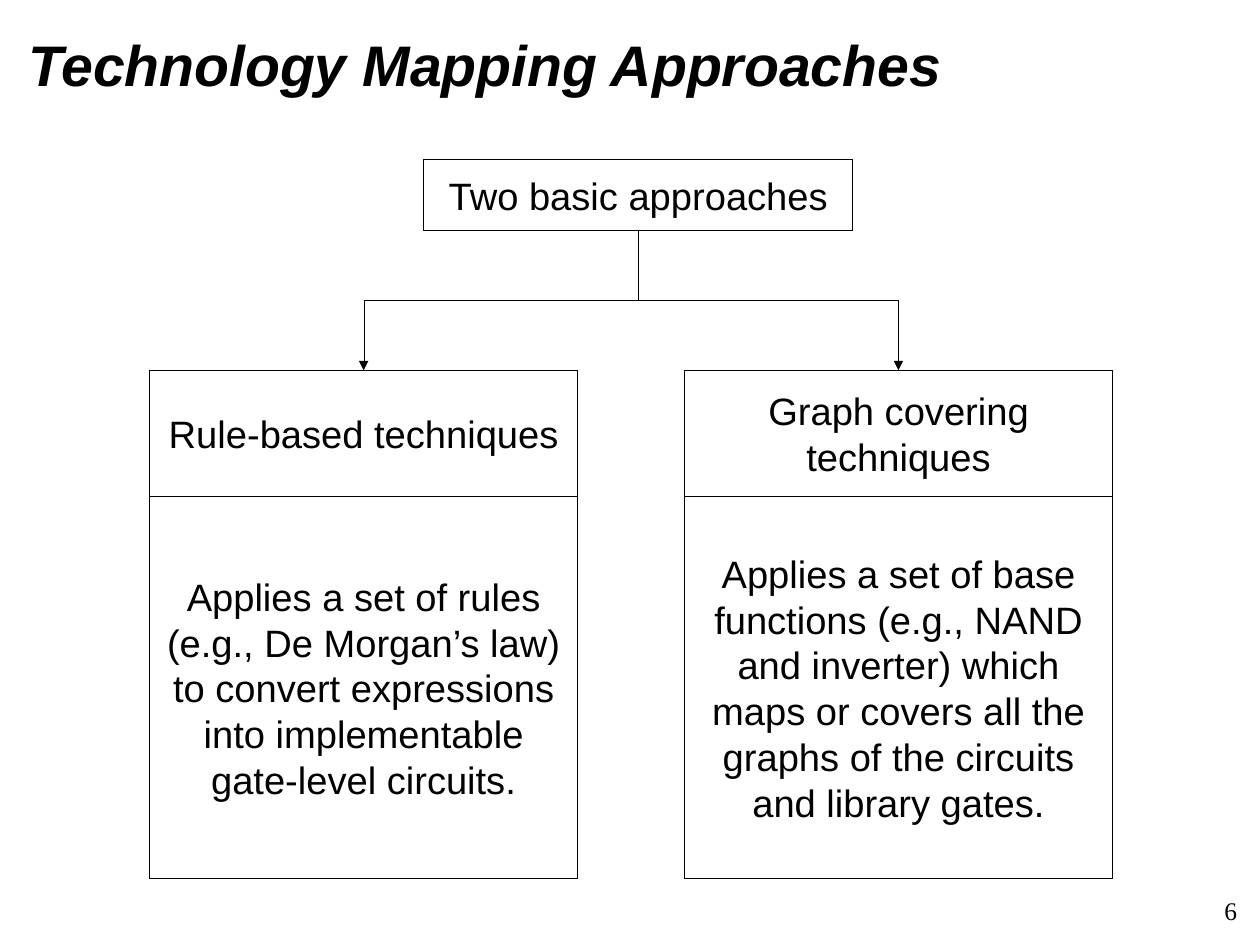
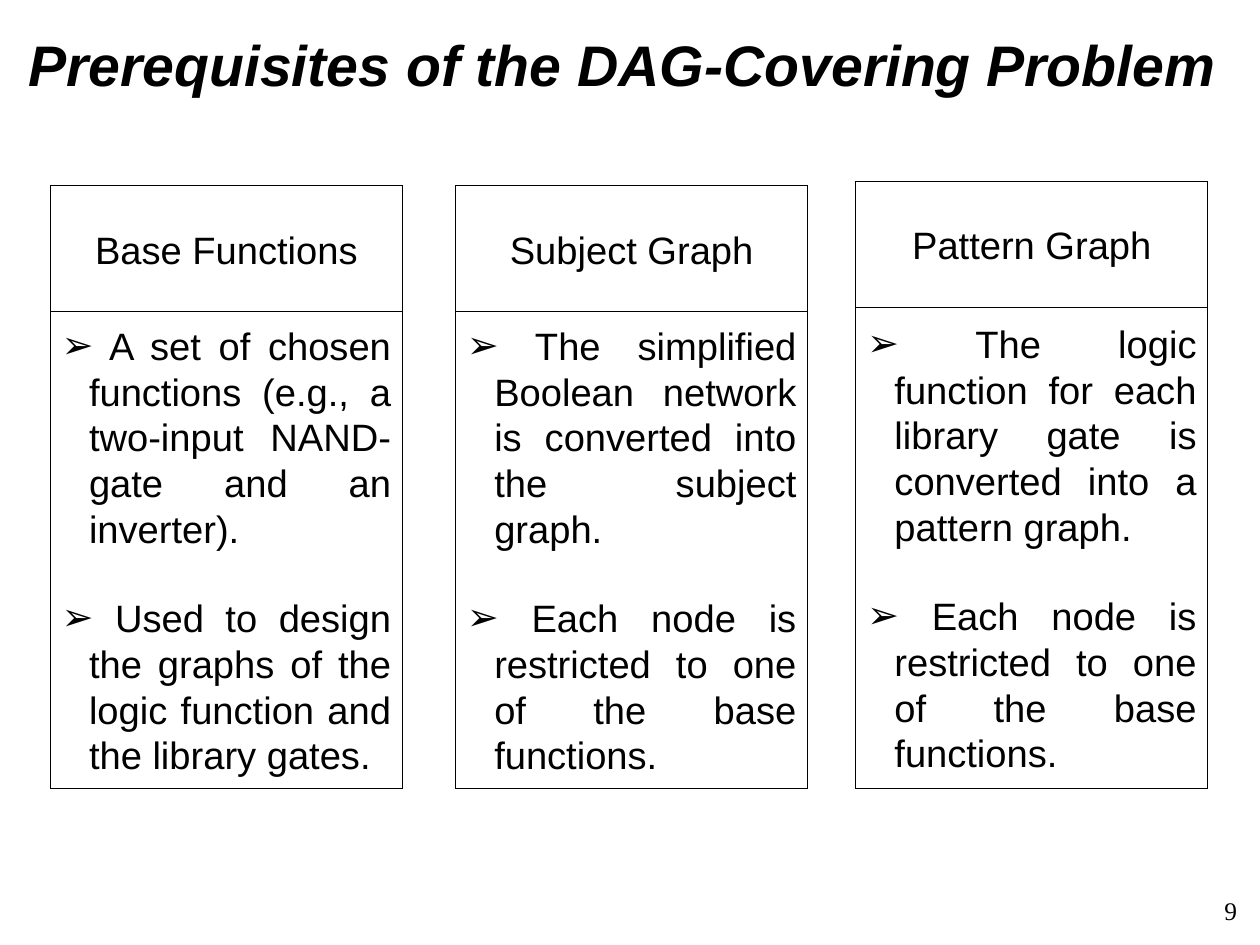
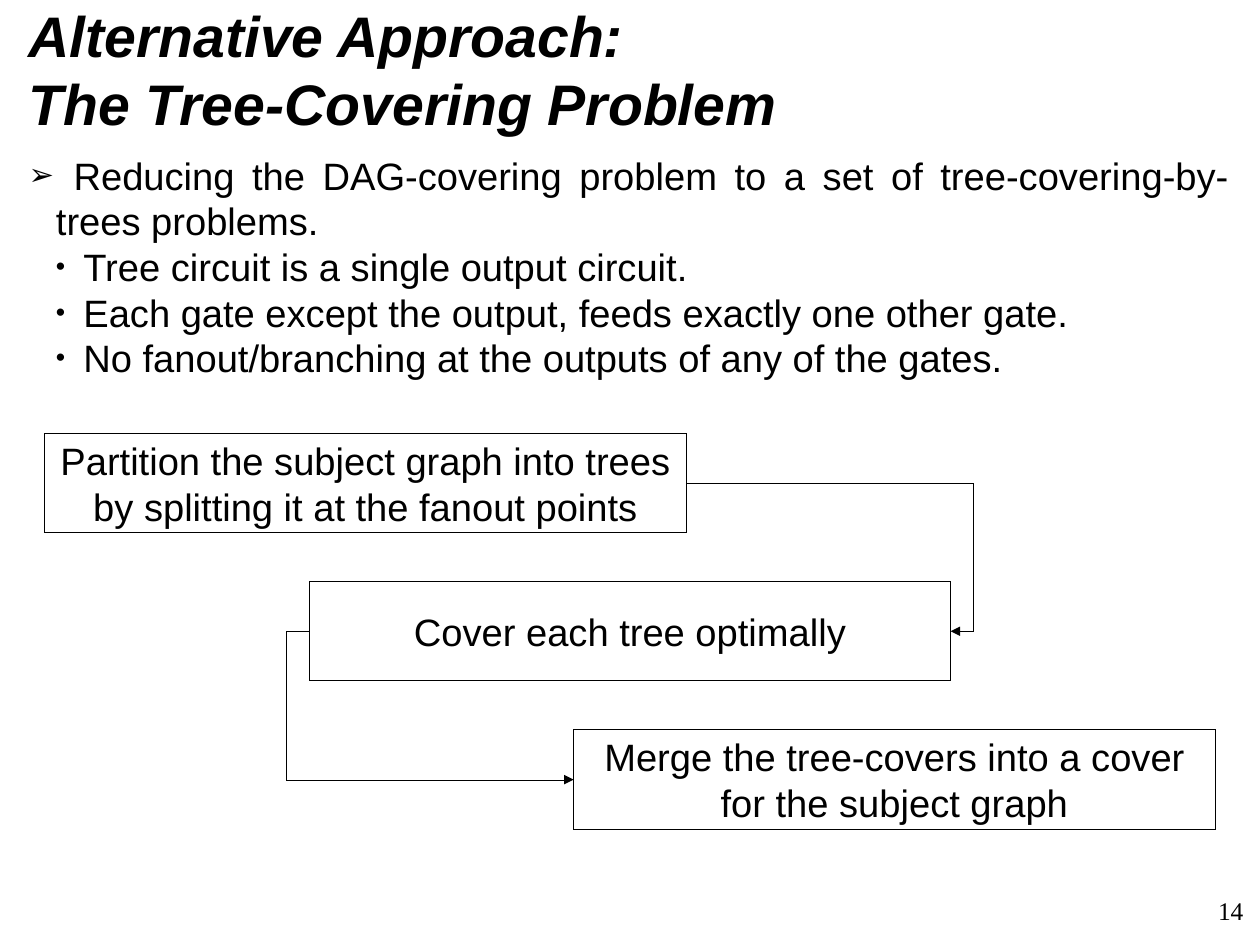
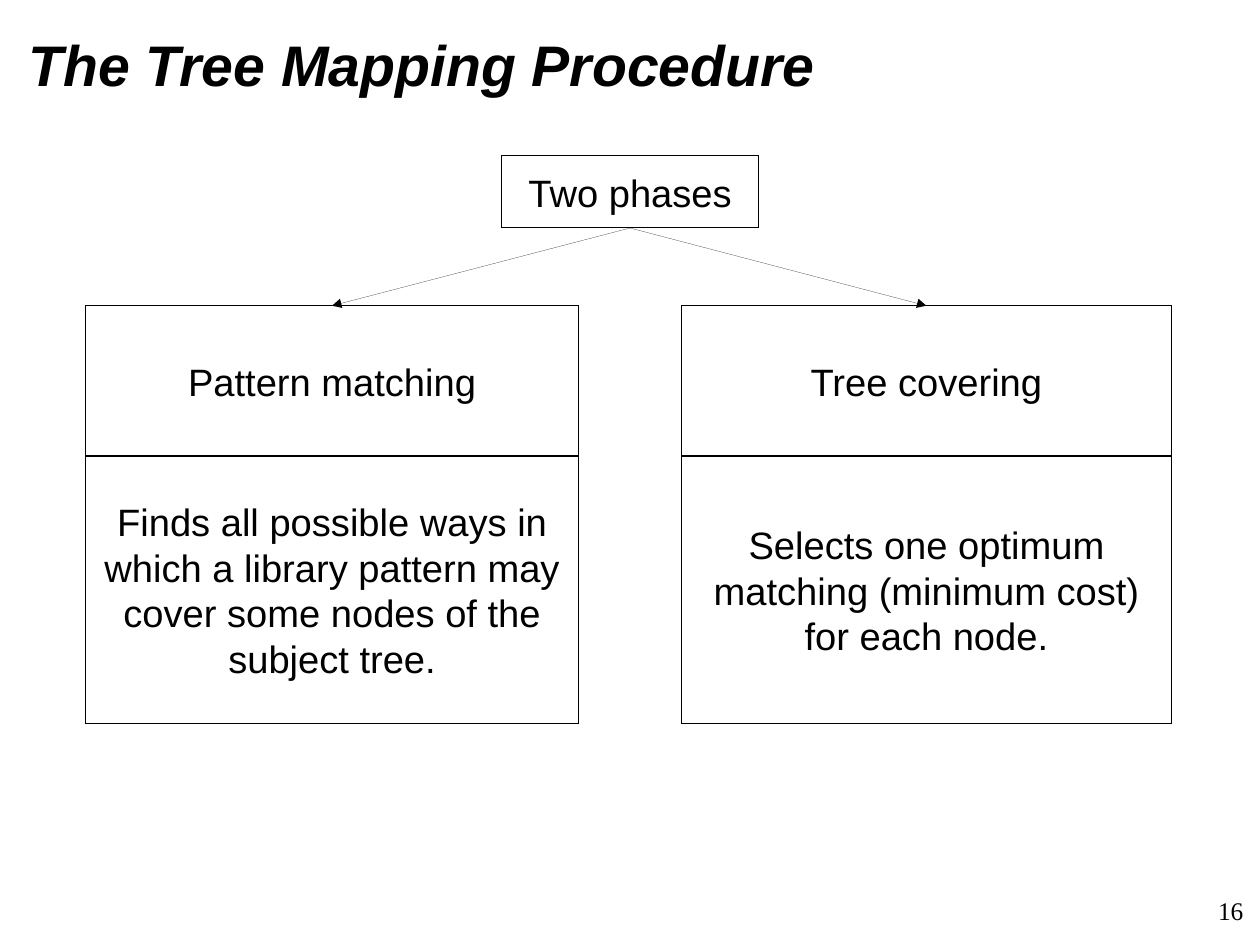
from pptx import Presentation
from pptx.dml.color import RGBColor
from pptx.enum.shapes import MSO_CONNECTOR, MSO_SHAPE
from pptx.enum.text import MSO_ANCHOR, PP_ALIGN
from pptx.oxml.ns import qn
from pptx.oxml.xmlchemy import OxmlElement
from pptx.util import Cm, Inches, Pt

RECTANGLE = MSO_SHAPE.RECTANGLE
STRAIGHT, ELBOW = MSO_CONNECTOR.STRAIGHT, MSO_CONNECTOR.ELBOW
LEFT, CENTER, JUSTIFY = PP_ALIGN.LEFT, PP_ALIGN.CENTER, PP_ALIGN.JUSTIFY
TOP_ANCHOR, MIDDLE = MSO_ANCHOR.TOP, MSO_ANCHOR.MIDDLE
TOP_SIDE, LEFT_SIDE, BOTTOM_SIDE, RIGHT_SIDE = range(4)

BLACK, WHITE = "000000", "FFFFFF"
SANS, SERIF = "Arial", "Times New Roman"
TITLE_SIZE, BODY_SIZE, NUMBER_SIZE = 36, 24, 16
SLIDE_WIDTH, SLIDE_HEIGHT = Cm(28), Cm(21)
INDENT = 2.4
BLANK_LINE = 27.6
ARROW, DOT = "➢", "•"


def grid(count):
    """Return the length of a number of grid cells, each a tenth of an inch."""
    return Inches(count / 10)


def color(value):
    """Return the colour of a hex string."""
    return RGBColor.from_string(value)


def add_child(parent, tag, **attributes):
    """Append an XML child with the given attributes and return it."""
    child = OxmlElement(tag)
    for name, value in attributes.items():
        child.set(name, str(value))
    parent.append(child)
    return child


def set_bullet(paragraph, character, level=1, size=100):
    """Give a paragraph a hanging bullet."""
    properties = paragraph._p.get_or_add_pPr()
    properties.set("marL", str(grid(INDENT * level)))
    properties.set("indent", str(-grid(INDENT)))
    bullet_color = add_child(properties, "a:buClr")
    add_child(bullet_color, "a:srgbClr", val=BLACK)
    add_child(properties, "a:buSzPct", val=size * 1000)
    add_child(properties, "a:buFont", typeface=SANS)
    add_child(properties, "a:buChar", char=character)


def add_run(paragraph, text, size, font, bold, italic):
    """Add a formatted run to a paragraph."""
    run = paragraph.add_run()
    run.text = text
    run.font.name, run.font.size = font, Pt(size)
    run.font.bold, run.font.italic = bold, italic
    run.font.color.rgb = color(BLACK)


def write(shape, lines, size=BODY_SIZE, font=SANS, bold=False, italic=False,
          align=CENTER, anchor=MIDDLE, inset=1, wrap=True, space=0, bullets=()):
    """Fill a shape with one paragraph per line, broken at each newline."""
    frame = shape.text_frame
    frame.word_wrap = wrap
    frame.vertical_anchor = anchor
    frame.margin_left = frame.margin_right = grid(inset)
    frame.margin_top = frame.margin_bottom = grid(inset / 2)
    for index, line in enumerate(lines):
        paragraph = frame.add_paragraph() if index else frame.paragraphs[0]
        paragraph.alignment = align
        if index and space:
            paragraph.space_before = Pt(space)
        if bullets:
            set_bullet(paragraph, *bullets[index])
        for position, text in enumerate(line.split("\n")):
            if position:
                paragraph.add_line_break()
            add_run(paragraph, text, size, font, bold, italic)


def add_text(slide, column, row, width, height, lines, **text_format):
    """Add a text box."""
    box = slide.shapes.add_textbox(grid(column), grid(row), grid(width), grid(height))
    write(box, lines, **text_format)


def set_hairline(shape):
    """Draw the outline as the thinnest black line and return its XML."""
    shape.line.color.rgb = color(BLACK)
    line = shape._element.spPr.find(qn("a:ln"))
    line.set("w", "0")
    return line


def add_box(slide, column, row, width, height, *lines, **text_format):
    """Add a white outlined rectangle with text."""
    box = slide.shapes.add_shape(
        RECTANGLE, grid(column), grid(row), grid(width), grid(height))
    box.shadow.inherit = False
    box.fill.solid()
    box.fill.fore_color.rgb = color(WHITE)
    set_hairline(box)
    write(box, lines, **text_format)
    return box


def add_card(slide, column, row, width, head, body, heading, *lines, **text_format):
    """Add a heading box with a body box below it and return the heading box."""
    heading_box = add_box(slide, column, row, width, head, heading)
    add_box(slide, column, row + head, width, body, *lines, **text_format)
    return heading_box


def add_arrow(slide, source, source_side, target, target_side, kind=STRAIGHT):
    """Join two boxes with an arrow."""
    arrow = slide.shapes.add_connector(kind, 0, 0, 0, 0)
    arrow.begin_connect(source, source_side)
    arrow.end_connect(target, target_side)
    add_child(set_hairline(arrow), "a:tailEnd", type="triangle")
    add_child(arrow._element.spPr, "a:effectLst")
    return arrow


def set_bend(arrow, share):
    """Place the bend of an elbow arrow at a share of its width."""
    geometry = arrow._element.spPr.find(qn("a:prstGeom"))
    adjustments = geometry.find(qn("a:avLst"))
    if adjustments is None:
        adjustments = add_child(geometry, "a:avLst")
    add_child(adjustments, "a:gd", name="adj1", fmla=f"val {round(share * 100000)}")


def add_branch(slide, source, target):
    """Add an elbow arrow that leaves downwards and arrives from above."""
    arrow = add_arrow(slide, source, BOTTOM_SIDE, target, TOP_SIDE, ELBOW)
    rightward = arrow.end_x > arrow.begin_x
    center_x = (arrow.begin_x + arrow.end_x) // 2
    center_y = (arrow.begin_y + arrow.end_y) // 2
    across, down = arrow.width, arrow.height
    arrow.left, arrow.top = center_x - down // 2, center_y - across // 2
    arrow.width, arrow.height = down, across
    transform = arrow._element.spPr.find(qn("a:xfrm"))
    transform.set("rot", str((270 if rightward else 90) * 60000))
    transform.set("flipH", "1" if rightward else "0")
    set_bend(arrow, 0.5)


def add_slide(presentation, number, title, center=5.6, height=9.8):
    """Add a blank slide with its title and number."""
    slide = presentation.slides.add_slide(presentation.slide_layouts[6])
    add_text(slide, 2.5, center - height / 2, 105, height, [title],
             size=TITLE_SIZE, bold=True, italic=True, align=LEFT, inset=0)
    add_text(slide, 105.2, 76.65, 4.95, 6, [number],
             size=NUMBER_SIZE, font=SERIF, wrap=False)
    return slide


def build_approaches(presentation):
    """Build the slide on the two mapping approaches."""
    slide = add_slide(presentation, "6", "Technology Mapping Approaches")
    root = add_box(slide, 37.08, 14, 37.5, 6.15, "Two basic approaches")
    cards = [
        ("Rule-based techniques",
         "Applies a set of rules (e.g., De Morgan’s law) to convert expressions "
         "into implementable gate-level circuits."),
        ("Graph covering techniques",
         "Applies a set of base functions (e.g., NAND and inverter) which maps or "
         "covers all the graphs of the circuits and library gates."),
    ]
    for index, (heading, body) in enumerate(cards):
        card = add_card(slide, 13.06 + 46.8 * index, 32.4, 37.5, 11.05, 33.4,
                        heading, body)
        add_branch(slide, root, card)


def build_prerequisites(presentation):
    """Build the slide with three bulleted cards."""
    slide = add_slide(presentation, "9", "Prerequisites of the DAG-Covering Problem")
    node_rule = " Each node is restricted to one of the base functions."
    cards = [
        (4.4, 16.25, "Base Functions",
         " A set of chosen functions (e.g., a two-input NAND-gate and an inverter).",
         " Used to design the graphs of the logic function and the library gates."),
        (39.86, 16.25, "Subject Graph",
         " The simplified Boolean network is converted into the subject graph.",
         node_rule),
        (74.87, 15.88, "Pattern Graph",
         " The logic function for each library gate is converted into a pattern graph.",
         node_rule),
    ]
    head, bottom = 11.02, 68.95
    for column, row, heading, *lines in cards:
        add_card(slide, column, row, 30.8, head, bottom - row - head, heading, *lines,
                 align=JUSTIFY, space=BLANK_LINE, bullets=[(ARROW,)] * len(lines))


def build_tree_covering(presentation):
    """Build the slide with bullets and a staircase of three steps."""
    slide = add_slide(presentation, "14",
                      "Alternative Approach:\nThe Tree-Covering Problem",
                      center=6, height=11.6)
    lines = [
        " Reducing the DAG-covering problem to a set of tree-covering-by-trees problems.",
        "Tree circuit is a single output circuit.",
        "Each gate except the output, feeds exactly one other gate.",
        "No fanout/branching at the outputs of any of the gates.",
    ]
    add_text(slide, 2.5, 13.3, 105, 63.3, lines, align=JUSTIFY, anchor=TOP_ANCHOR,
             inset=0, bullets=[(ARROW, 1, 80)] + [(DOT, 2, 70)] * 3)
    steps = [
        "Partition the subject graph into trees by splitting it at the fanout points",
        "Cover each tree optimally",
        "Merge the tree-covers into a cover for the subject graph",
    ]
    step_across, overhang = 23.14, 1.97
    first, second, third = [
        add_box(slide, 3.9 + step_across * index, 37.9 + 12.98 * index, 56.13, 8.7, step)
        for index, step in enumerate(steps)]
    bend = overhang / step_across
    set_bend(add_arrow(slide, first, RIGHT_SIDE, second, RIGHT_SIDE, ELBOW), 1 + bend)
    set_bend(add_arrow(slide, second, LEFT_SIDE, third, LEFT_SIDE, ELBOW), -bend)


def build_procedure(presentation):
    """Build the slide on the two phases of tree mapping."""
    slide = add_slide(presentation, "16", "The Tree Mapping Procedure")
    root = add_box(slide, 43.87, 13.6, 22.5, 6.35, "Two phases")
    cards = [
        (7.5, 43.1, "Pattern matching",
         "Finds all possible ways in which a library pattern may cover some nodes "
         "of the subject tree."),
        (59.6, 42.9, "Tree covering",
         "Selects one optimum matching (minimum cost) for each node."),
    ]
    for column, width, heading, body in cards:
        card = add_card(slide, column, 26.75, width, 13.15, 23.4, heading, body)
        add_arrow(slide, root, BOTTOM_SIDE, card, TOP_SIDE)


def main():
    """Build and save the presentation."""
    presentation = Presentation()
    presentation.slide_width = SLIDE_WIDTH
    presentation.slide_height = SLIDE_HEIGHT
    build_approaches(presentation)
    build_prerequisites(presentation)
    build_tree_covering(presentation)
    build_procedure(presentation)
    presentation.save("out.pptx")


if __name__ == "__main__":
    main()
